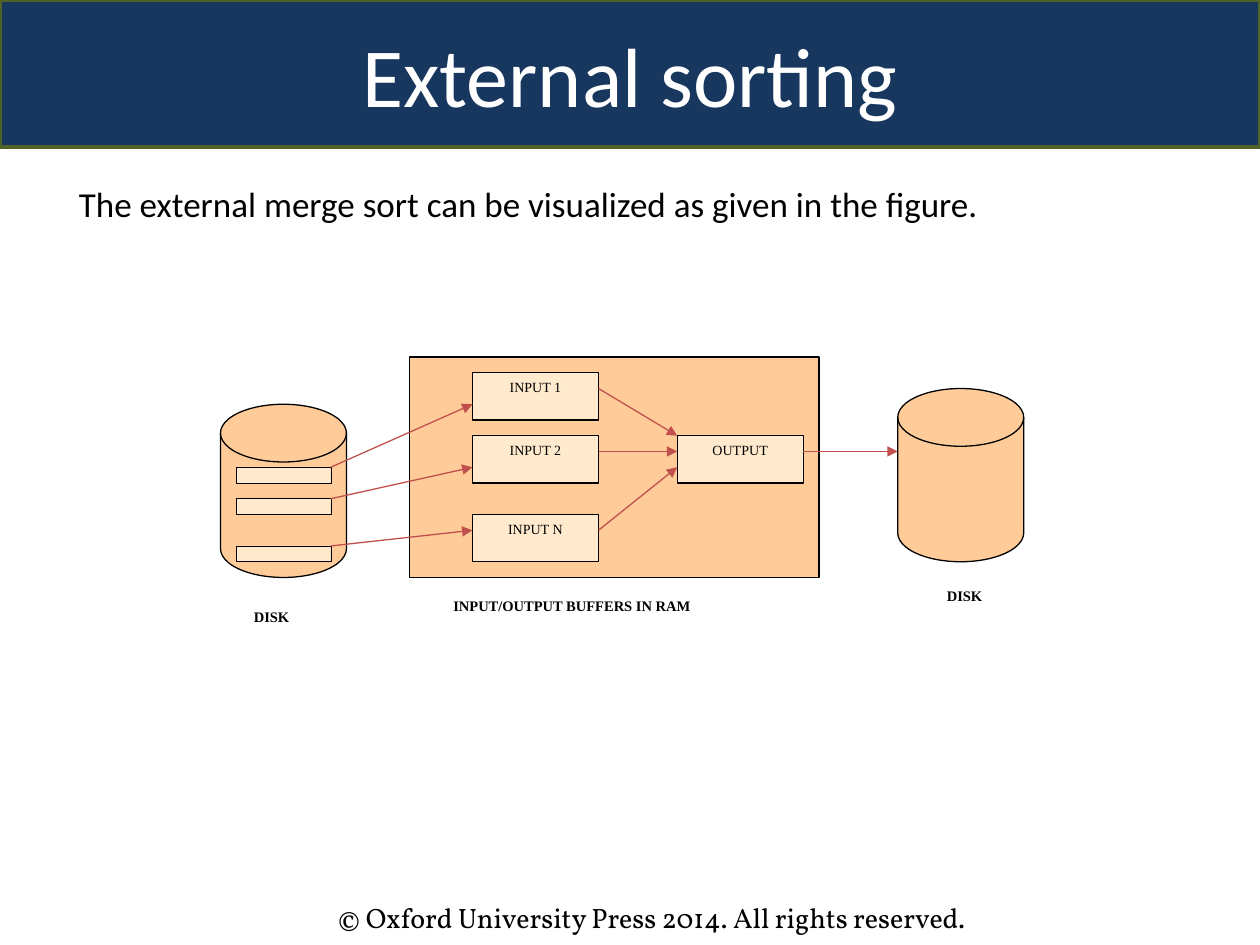
from lxml.etree import SubElement
from pptx import Presentation
from pptx.dml.color import RGBColor
from pptx.enum.shapes import MSO_CONNECTOR, MSO_SHAPE as Shape
from pptx.enum.text import MSO_ANCHOR as Anchor, MSO_AUTO_SIZE as AutoSize, PP_ALIGN as Align
from pptx.oxml.ns import qn
from pptx.util import Pt

COLORS = {
    "navy": "17375E", "olive": "4F6228", "orange": "FFCC99", "cream": "FFEACD",
    "red": "C0504D", "black": "000000", "white": "FFFFFF",
}
GRID = 9  # the diagram sits on a 9 pt grid
SERIF = "Times New Roman"


def color(name):
    return RGBColor.from_string(COLORS[name])


def paint(shape, fill, line, width):
    shape.fill.solid()
    shape.fill.fore_color.rgb = color(fill)
    shape.line.color.rgb = color(line)
    shape.line.width = Pt(width)


def write(shape, text, size, font, ink="black", align=Align.LEFT,
          anchor=Anchor.TOP, bold=False, spacing=1.0):
    frame = shape.text_frame
    frame.word_wrap = True
    frame.auto_size = AutoSize.NONE
    frame.vertical_anchor = anchor
    frame.text = text
    paragraph = frame.paragraphs[0]
    paragraph.alignment = align
    paragraph.line_spacing = spacing
    paragraph.font.size = Pt(size)
    paragraph.font.name = font
    paragraph.font.bold = bold
    paragraph.font.color.rgb = color(ink)


def add_block(slide, kind, box, fill="cream", line="black", width=0.75):
    shape = slide.shapes.add_shape(kind, *map(Pt, box))
    shape.shadow.inherit = False
    paint(shape, fill, line, width)
    return shape


def add_arrow(slide, start, end):
    arrow = slide.shapes.add_connector(MSO_CONNECTOR.STRAIGHT, *map(Pt, (*start, *end)))
    arrow.line.color.rgb = color("red")
    arrow.line.width = Pt(0.75)
    SubElement(arrow.line._get_or_add_ln(), qn("a:tailEnd"), type="triangle")
    SubElement(arrow._element.spPr, qn("a:effectLst"))


def add_title(slide, box):
    title = slide.shapes.title
    title.left, title.top, title.width, title.height = map(Pt, box)
    paint(title, "navy", "olive", 2)
    write(title, "External sorting", 48, "Calibri", "white", Align.CENTER, Anchor.MIDDLE)


def add_text(slide, box, text, size, font, spacing=1.0):
    write(slide.shapes.add_textbox(*map(Pt, box)), text, size, font, spacing=spacing)


def add_caption(slide, box, text):
    caption = add_block(slide, Shape.RECTANGLE, box, "white", "white")
    write(caption, text, 8.3, SERIF, bold=True, spacing=0.9)


def add_diagram(slide, box):
    left, top, width, _ = box

    def at(column, row):
        return left + column * GRID, top + row * GRID

    def add_buffer(column, row, text):
        buffer = add_block(slide, Shape.RECTANGLE, (*at(column, row), 72, 27))
        write(buffer, text, 8, SERIF, align=Align.CENTER)

    # Disks and memory
    for column, row in ((0, 3), (43, 2)):
        add_block(slide, Shape.FLOWCHART_MAGNETIC_DISK, (*at(column, row), 72, 99), "orange")
    add_block(slide, Shape.RECTANGLE, (*at(12, 0), 234, 126), "orange")

    # Each run on disk feeds an input buffer, which feeds the output
    for text, run_row, input_row, entry_row, exit_row, output_row in (
        ("INPUT 1", 7, 1, 3, 2, 5),
        ("INPUT 2", 9, 5, 7, 6, 6),
        ("INPUT N", 12, 10, 11, 11, 7),
    ):
        add_block(slide, Shape.RECTANGLE, (*at(1, run_row), 54, GRID), width=0.25)
        add_buffer(16, input_row, text)
        add_arrow(slide, at(7, run_row), at(16, entry_row))
        add_arrow(slide, at(24, exit_row), at(29, output_row))

    # Output buffer and its way to disk
    add_buffer(29, 5, "OUTPUT")
    add_arrow(slide, at(37, 6), at(43, 6))

    # Captions
    add_caption(slide, (left + 12, top + 141, 45, 18), "DISK")
    add_caption(slide, (left + 126, top + 135, 189, 18), "INPUT/OUTPUT BUFFERS IN RAM")
    add_caption(slide, (left + width - 51, top + 129, 45, 18), "DISK")


def main():
    presentation = Presentation()
    presentation.slide_width, presentation.slide_height = Pt(720), Pt(540)
    slide = presentation.slides.add_slide(presentation.slide_layouts[5])
    add_title(slide, (0, 0, 720, 84))
    add_text(slide, (38, 96, 628, 36),
             "The external merge sort can be visualized as given in the figure.",
             20, "Calibri", 1.2)
    add_diagram(slide, (126, 204, 459, 159))
    add_text(slide, (186, 511, 426, 27),
             "© Oxford University Press 2014. All rights reserved.", 16, "Vollkorn")
    presentation.save("out.pptx")


if __name__ == "__main__":
    main()
